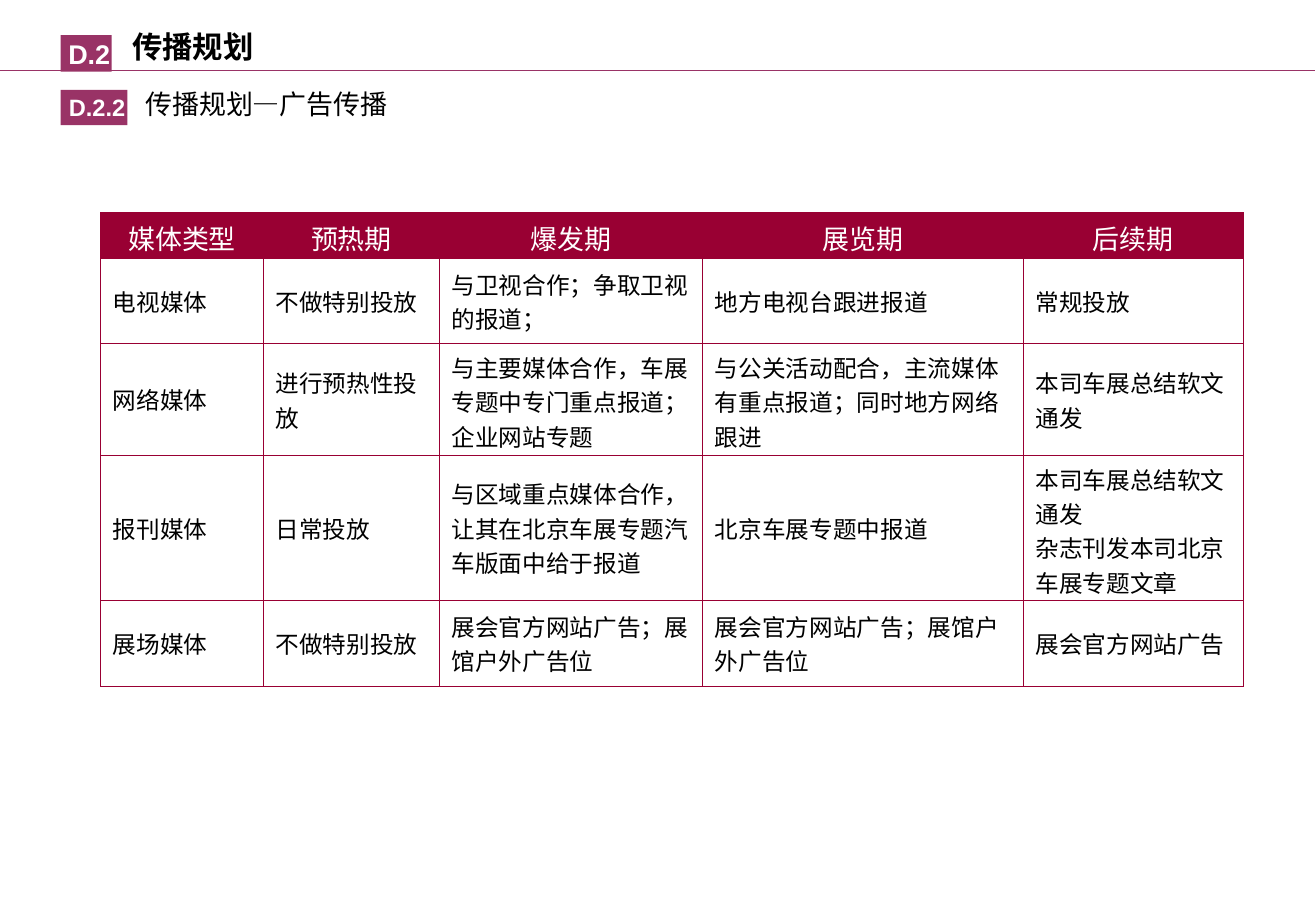
from lxml.etree import SubElement
from pptx import Presentation
from pptx.dml.color import RGBColor
from pptx.enum.shapes import MSO_CONNECTOR, MSO_SHAPE
from pptx.enum.text import MSO_ANCHOR, PP_ALIGN
from pptx.oxml.ns import qn
from pptx.util import Inches, Pt

PLUM = RGBColor(0x99, 0x33, 0x66)
CRIMSON = RGBColor(0x99, 0x00, 0x33)
BLACK = RGBColor(0, 0, 0)
WHITE = RGBColor(255, 255, 255)
LATIN = "Arial"
CHINESE = "Noto Sans CJK SC"

COLUMN_WIDTHS = [1.34, 1.45, 2.17, 2.64, 1.81]
ROW_HEIGHTS = [0.38, 0.7, 0.92, 1.19, 0.71]
MEDIA_PLAN = [
    ["媒体类型", "预热期", "爆发期", "展览期", "后续期"],
    ["电视媒体", "不做特别投放", "与卫视合作；争取卫视的报道；", "地方电视台跟进报道", "常规投放"],
    ["网络媒体", "进行预热性投放", "与主要媒体合作，车展专题中专门重点报道；企业网站专题",
     "与公关活动配合，主流媒体有重点报道；同时地方网络跟进", "本司车展总结软文通发"],
    ["报刊媒体", "日常投放", "与区域重点媒体合作，让其在北京车展专题汽车版面中给于报道",
     "北京车展专题中报道", "本司车展总结软文通发\n杂志刊发本司北京车展专题文章"],
    ["展场媒体", "不做特别投放", "展会官方网站广告；展馆户外广告位",
     "展会官方网站广告；展馆户外广告位", "展会官方网站广告"],
]


def write(frame, text, size, color, font=CHINESE, bold=False, align=PP_ALIGN.LEFT):
    frame.text = text
    for paragraph in frame.paragraphs:
        paragraph.alignment = align
        paragraph.font.name = font
        paragraph.font.size = Pt(size)
        paragraph.font.bold = bold
        paragraph.font.color.rgb = color
        for run in paragraph.runs:
            SubElement(run._r.get_or_add_rPr(), qn("a:ea"), typeface=font)


def add_header_rule(slide):
    rule = slide.shapes.add_connector(
        MSO_CONNECTOR.STRAIGHT, 0, Inches(0.58), Inches(10.83), Inches(0.58))
    rule.line.color.rgb = PLUM
    rule.line.width = Pt(0.75)
    SubElement(rule._element.spPr, qn("a:effectLst"))


def add_badge(slide, number, top, width, height, size):
    badge = slide.shapes.add_shape(
        MSO_SHAPE.RECTANGLE, Inches(0.5), Inches(top), Inches(width), Inches(height))
    badge.shadow.inherit = False
    badge.fill.solid()
    badge.fill.fore_color.rgb = PLUM
    badge.line.fill.background()
    frame = badge.text_frame
    frame.word_wrap = False
    frame.vertical_anchor = MSO_ANCHOR.MIDDLE
    frame.margin_left = Inches(0.05)
    frame.margin_right = frame.margin_top = frame.margin_bottom = 0
    write(frame, number, size, WHITE, LATIN, True, PP_ALIGN.CENTER)


def add_heading(slide, text, left, top, width, height, size, bold=False):
    heading = slide.shapes.add_textbox(
        Inches(left), Inches(top), Inches(width), Inches(height))
    heading.text_frame.word_wrap = True
    write(heading.text_frame, text, size, BLACK, bold=bold)


def set_borders(cell):
    properties = cell._tc.get_or_add_tcPr()
    for position, side in enumerate(("a:lnL", "a:lnR", "a:lnT", "a:lnB")):
        border = SubElement(properties, qn(side), w=str(Pt(0.45)))
        properties.insert(position, border)
        fill = SubElement(border, qn("a:solidFill"))
        SubElement(fill, qn("a:srgbClr"), val=str(CRIMSON))


def add_media_table(slide):
    table = slide.shapes.add_table(
        len(ROW_HEIGHTS), len(COLUMN_WIDTHS), Inches(0.83), Inches(1.75),
        Inches(sum(COLUMN_WIDTHS)), Inches(sum(ROW_HEIGHTS))).table
    table.horz_banding = False
    for column, width in zip(table.columns, COLUMN_WIDTHS):
        column.width = Inches(width)
    for index, (row, height, texts) in enumerate(zip(table.rows, ROW_HEIGHTS, MEDIA_PLAN)):
        row.height = Inches(height)
        for cell, text in zip(row.cells, texts):
            if index == 0:
                cell.fill.solid()
                cell.fill.fore_color.rgb = CRIMSON
                cell.vertical_anchor = MSO_ANCHOR.BOTTOM
                write(cell.text_frame, text, 16, WHITE, align=PP_ALIGN.CENTER)
            else:
                cell.fill.background()
                cell.vertical_anchor = MSO_ANCHOR.MIDDLE
                write(cell.text_frame, text, 14, BLACK)
            set_borders(cell)


def main():
    deck = Presentation()
    deck.slide_width = Inches(10.84)
    deck.slide_height = Inches(7.5)
    slide = deck.slides.add_slide(deck.slide_layouts[6])
    add_header_rule(slide)
    add_badge(slide, "D.2", 0.29, 0.42, 0.3, 16)
    add_heading(slide, "传播规划", 0.99, 0.18, 2.17, 0.4, 18, bold=True)
    add_badge(slide, "D.2.2", 0.74, 0.55, 0.29, 14)
    add_heading(slide, "传播规划—广告传播", 1.1, 0.67, 3.07, 0.37, 16)
    add_media_table(slide)
    deck.save("out.pptx")


if __name__ == "__main__":
    main()
